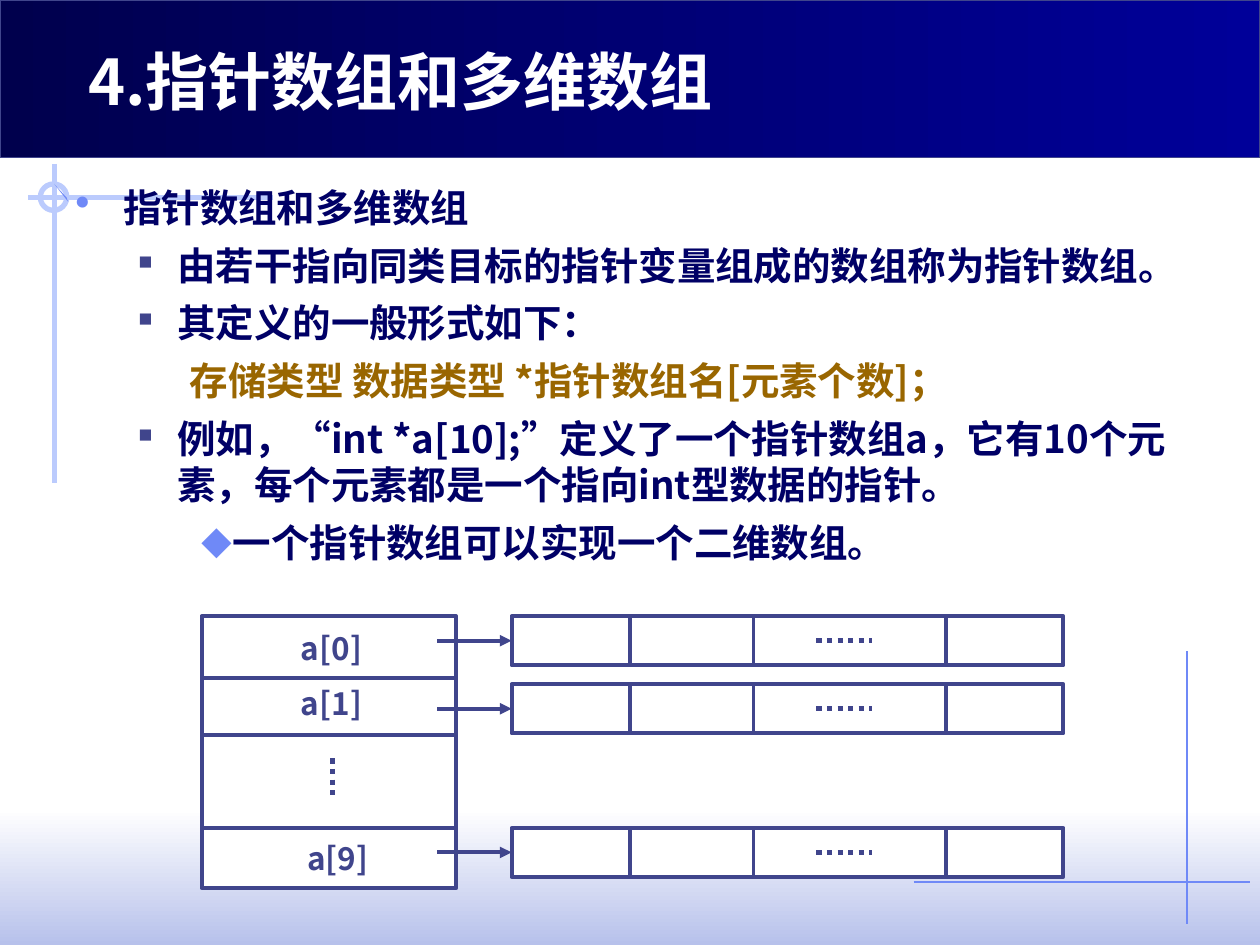
from dataclasses import dataclass

from lxml import etree
from pptx import Presentation
from pptx.dml.color import RGBColor
from pptx.enum import dml, lang, shapes, text
from pptx.oxml import ns
from pptx.util import Inches, Pt


@dataclass(frozen=True)
class Theme:
    """Colours, fonts and type sizes of the slide."""
    white: str = "FFFFFF"
    ink: str = "40458C"
    navy: str = "000066"
    syntax: str = "996600"
    accent: str = "6F89F7"
    pale: str = "BBCBFD"
    header: tuple = ("00004D", "000099")
    footer: tuple = ("FFFFFF", "B7C1EB")
    title_font: str = "Noto Sans CJK JP"
    body_font: str = "Noto Sans CJK SC"
    title_size: int = 36
    body_size: int = 22
    label_size: int = 18


THEME = Theme()
BULLETS = {"•": (THEME.accent, 110, None), "■": (THEME.ink, 50, None),
           "◆": (THEME.accent, 80, THEME.body_font)}
BODY = [
    (0, "•", 0.38, -0.38, THEME.navy, "指针数组和多维数组"),
    (1, "■", 0.81, -0.31, THEME.navy, "由若干指向同类目标的指针变量组成的数组称为指针数组。"),
    (1, "■", 0.81, -0.31, THEME.navy, "其定义的一般形式如下："),
    (1, None, 0.91, 0, THEME.syntax, "存储类型 数据类型 *指针数组名[元素个数]；"),
    (1, "■", 0.81, -0.31, THEME.navy,
     "例如，“int *a[10];”定义了一个指针数组a，它有10个元素，每个元素都是一个指向int型数据的指针。"),
    (2, "◆", 1.25, -0.25, THEME.navy, "一个指针数组可以实现一个二维数组。"),
]


def rgb(value):
    """Turn a hex string into a colour."""
    return RGBColor.from_string(value)


def add_child(parent, tag, **attributes):
    """Append a drawing element to an XML parent."""
    return etree.SubElement(parent, ns.qn(tag), attributes)


def add_line(canvas, x1, y1, x2, y2, color, width, dotted=False):
    """Draw a straight line without a shadow."""
    line = canvas.add_connector(shapes.MSO_CONNECTOR.STRAIGHT,
                                Inches(x1), Inches(y1), Inches(x2), Inches(y2))
    line.line.color.rgb = rgb(color)
    line.line.width = Pt(width)
    if dotted:
        line.line.dash_style = dml.MSO_LINE.ROUND_DOT
    add_child(line._element.spPr, "a:effectLst")
    return line


def add_block(canvas, x, y, width, height, fill=None, line=None, weight=0.75,
              preset=shapes.MSO_SHAPE.RECTANGLE):
    """Draw a preset shape; a tuple fill is a gradient given with its angle."""
    block = canvas.add_shape(preset, Inches(x), Inches(y), Inches(width), Inches(height))
    block.shadow.inherit = False
    if isinstance(fill, tuple):
        colors, angle = fill
        block.fill.gradient()
        block.fill.gradient_angle = angle
        for stop, color in zip(block.fill.gradient_stops, colors):
            stop.color.rgb = rgb(color)
    elif fill:
        block.fill.solid()
        block.fill.fore_color.rgb = rgb(fill)
    else:
        block.fill.background()
    if line:
        block.line.color.rgb = rgb(line)
        block.line.width = Pt(weight)
    else:
        block.line.fill.background()
    return block


def add_text_frame(slide, x, y, width, height, top=0.05):
    """Add a wrapping, top-anchored text box and return its frame."""
    frame = slide.shapes.add_textbox(Inches(x), Inches(y), Inches(width), Inches(height)).text_frame
    frame.word_wrap = True
    frame.vertical_anchor = text.MSO_ANCHOR.TOP
    frame.margin_top, frame.margin_bottom = Inches(top), 0
    return frame


def add_words(paragraph, words, font, size, color):
    """Add one bold run and set the line pitch to 1.2 times its size."""
    paragraph.line_spacing = Pt(size * 1.2)
    run = paragraph.add_run()
    run.text = words
    run.font.size, run.font.bold, run.font.name = Pt(size), True, font
    run.font.color.rgb = rgb(color)
    run.font.language_id = lang.MSO_LANGUAGE_ID.SIMPLIFIED_CHINESE
    add_child(run.font._element, "a:ea", typeface=font)


def set_bullet(paragraph, mark, margin, indent):
    """Set the indents and the bullet of a paragraph."""
    properties = paragraph._p.get_or_add_pPr()
    properties.set("marL", str(Inches(margin)))
    properties.set("indent", str(Inches(indent)))
    if mark:
        color, percent, font = BULLETS[mark]
        add_child(add_child(properties, "a:buClr"), "a:srgbClr", val=color)
        add_child(properties, "a:buSzPct", val=str(percent * 1000))
        if font:
            add_child(properties, "a:buFont", typeface=font)
        add_child(properties, "a:buChar", char=mark)
    else:
        add_child(properties, "a:buNone")


def add_backdrop(slide):
    """Draw the header, the footer tint and the cross-hair lines."""
    canvas = slide.shapes
    add_block(canvas, 0, 6.42, 10, 1.08, (THEME.footer, 270))
    add_line(canvas, 9.42, 5.17, 9.42, 7.33, THEME.accent, 0.75)
    add_line(canvas, 2.17, 1.57, 0.22, 1.57, THEME.pale, 3)
    add_line(canvas, 0.43, 1.3, 0.43, 3.83, THEME.pale, 3)
    add_block(canvas, 0.32, 1.46, 0.21, 0.21, None, THEME.pale, 3, shapes.MSO_SHAPE.OVAL)
    outline = canvas.build_freeform(Inches(0.53), Inches(1.57))
    outline.add_line_segments([(Inches(0.54), Inches(1.6)), (Inches(0.43), Inches(1.46))])
    sliver = outline.convert_to_shape()
    sliver.shadow.inherit = False
    sliver.fill.solid()
    sliver.fill.fore_color.rgb = rgb(THEME.accent)
    sliver.line.fill.background()
    add_block(canvas, 0, 0, 10, 1.25, (THEME.header, 0), THEME.ink)
    add_line(canvas, 7.25, 7, 9.92, 7, THEME.accent, 0.75)


def add_body(slide):
    """Write the bulleted explanation."""
    frame = add_text_frame(slide, 0.5, 1.41, 9, 3.33)
    for index, (level, mark, margin, indent, color, words) in enumerate(BODY):
        paragraph = frame.add_paragraph() if index else frame.paragraphs[0]
        paragraph.level = level
        set_bullet(paragraph, mark, margin, indent)
        paragraph.space_before = Pt(THEME.body_size * 0.3 if index else 0)
        add_words(paragraph, words, THEME.body_font, THEME.body_size, color)


def add_pointer_column(slide):
    """Draw the array of pointers."""
    add_block(slide.shapes, 1.6, 4.89, 2.02, 2.16, THEME.white, THEME.ink, 2.25)
    for y in (5.38, 5.83, 6.57):
        add_line(slide.shapes, 1.6, y, 3.62, y, THEME.ink, 2.25)
    add_line(slide.shapes, 2.64, 6.02, 2.64, 6.32, THEME.ink, 3, dotted=True)


def add_target_row(slide, top):
    """Draw one target row and the arrow that points to it."""
    canvas = slide.shapes.add_group_shape().shapes
    height = 0.39
    middle = top + height / 2
    row = add_block(canvas, 4.06, top, 4.38, height, THEME.white, THEME.ink, 2.25)
    for x in (5, 5.98, 7.51):
        add_line(canvas, x, top, x, top + height, THEME.ink, 2.25)
    add_line(canvas, 6.48, middle, 6.92, middle, THEME.ink, 3, dotted=True)
    arrow = add_line(canvas, 3.47, middle, 4.06, middle, THEME.ink, 2.25)
    arrow.end_connect(row, 1)
    add_child(arrow.line._get_or_add_ln(), "a:tailEnd", type="triangle")


def main():
    """Build and save the slide."""
    deck = Presentation()
    deck.slide_width, deck.slide_height = Inches(10), Inches(7.5)
    slide = deck.slides.add_slide(deck.slide_layouts[6])
    add_backdrop(slide)
    title = add_text_frame(slide, 0.6, 0.29, 8.12, 0.71)
    add_words(title.paragraphs[0], "4.指针数组和多维数组",
              THEME.title_font, THEME.title_size, THEME.white)
    add_body(slide)
    add_pointer_column(slide)
    for top in (4.89, 5.43, 6.57):
        add_target_row(slide, top)
    for label, x, y in (("a[0]", 2.29, 4.99), ("a[1]", 2.29, 5.43), ("a[9]", 2.34, 6.66)):
        frame = add_text_frame(slide, x, y, 1.08, 0.3, 0)
        add_words(frame.paragraphs[0], label, THEME.body_font, THEME.label_size, THEME.ink)
    deck.save("out.pptx")


if __name__ == "__main__":
    main()
